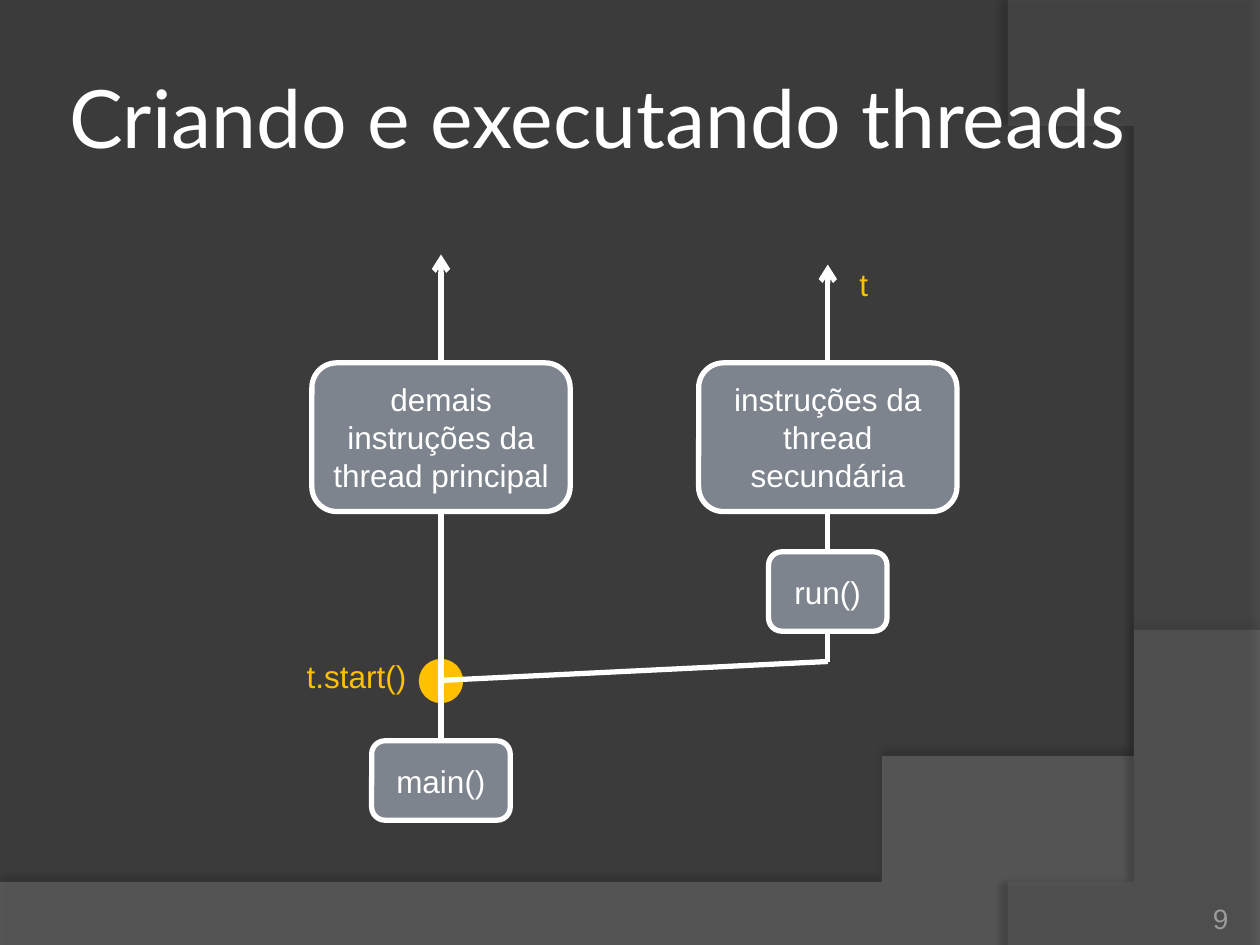
from lxml import etree
from pptx import Presentation
from pptx.dml.color import RGBColor
from pptx.enum.shapes import MSO_CONNECTOR, MSO_SHAPE
from pptx.enum.text import MSO_ANCHOR, PP_ALIGN
from pptx.oxml.ns import qn
from pptx.util import Inches, Pt

DARK = RGBColor(0x3B, 0x3B, 0x3B)
WAVE = RGBColor(0x7F, 0x7F, 0x7F)
ARC = RGBColor(0x5E, 0x5E, 0x5E)
WHITE = RGBColor(0xFF, 0xFF, 0xFF)
GOLD = RGBColor(0xFF, 0xC0, 0x00)
SLATE = RGBColor(0x7E, 0x84, 0x8D)
GREY = RGBColor(0x9D, 0x9B, 0x9A)
LEFT, CENTER, RIGHT = PP_ALIGN.LEFT, PP_ALIGN.CENTER, PP_ALIGN.RIGHT
MIDDLE, BOTTOM = MSO_ANCHOR.MIDDLE, MSO_ANCHOR.BOTTOM
ROUND, OVAL = MSO_SHAPE.ROUNDED_RECTANGLE, MSO_SHAPE.OVAL
STRAIGHT = MSO_CONNECTOR.STRAIGHT

MAIN_X, SIDE_X = 3.5, 6.57  # centre lines of the two threads
TURN_Y, START_Y = 5.25, 5.4


def write(shape, text, size=18, font="Arial", color=WHITE, align=CENTER,
          anchor=MIDDLE, inset=None):
    frame = shape.text_frame
    frame.word_wrap = True
    frame.vertical_anchor = anchor
    if inset is not None:
        frame.margin_left = frame.margin_right = Inches(inset)
        frame.margin_top = frame.margin_bottom = Inches(inset)
    para = frame.paragraphs[0]
    para.alignment = align
    run = para.add_run()
    run.text = text
    run.font.size = Pt(size)
    run.font.name = font
    run.font.color.rgb = color


def add_label(slide, text, x, y, w, h, **style):
    box = slide.shapes.add_textbox(Inches(x), Inches(y), Inches(w), Inches(h))
    write(box, text, **style)


def add_node(slide, kind, x, y, w, h, fill, edge, text=None):
    """Add an outlined shape centred on x, with its top at y."""
    node = slide.shapes.add_shape(
        kind, Inches(x - w / 2), Inches(y), Inches(w), Inches(h))
    node.shadow.inherit = False
    node.fill.solid()
    node.fill.fore_color.rgb = fill
    node.line.color.rgb = edge
    node.line.width = Pt(3)
    if text:
        write(node, text)
    return node


def add_line(slide, start, end, arrow=False):
    line = slide.shapes.add_connector(
        STRAIGHT, *[Inches(v) for v in (*start, *end)])
    line.line.color.rgb = WHITE
    line.line.width = Pt(3)
    if arrow:
        tip = etree.SubElement(line.line._get_or_add_ln(), qn("a:tailEnd"))
        tip.set("type", "arrow")
    etree.SubElement(line._element.spPr, qn("a:effectLst"))
    return line


def curve(a, b, c, d, steps=48):
    """Return points along a cubic Bezier curve."""
    spots = []
    for i in range(steps + 1):
        t = i / steps
        s = 1 - t
        parts = (s ** 3, 3 * s * s * t, 3 * s * t * t, t ** 3)
        spots.append(tuple(sum(k * p[n] for k, p in zip(parts, (a, b, c, d)))
                           for n in (0, 1)))
    return spots


def add_swoosh(slide, spots, color, alpha, shade, gap, turn):
    """Add a translucent outline with a soft shadow, given in percent, points, degrees."""
    pen = slide.shapes.build_freeform(*spots[0], scale=Inches(1))
    pen.add_line_segments(spots[1:], close=True)
    form = pen.convert_to_shape()
    form.shadow.inherit = False
    form.line.fill.background()
    form.fill.solid()
    form.fill.fore_color.rgb = color
    props = form._element.spPr
    tint = props.find(qn("a:solidFill"))[0]
    etree.SubElement(tint, qn("a:alpha")).set("val", str(alpha * 1000))
    cast = etree.SubElement(
        props.find(qn("a:effectLst")), qn("a:outerShdw"), blurRad=str(Pt(4)),
        dist=str(Pt(gap)), dir=str(turn * 60000), rotWithShape="0")
    black = etree.SubElement(cast, qn("a:srgbClr"), val="000000")
    etree.SubElement(black, qn("a:alpha")).set("val", str(shade * 1000))


def add_backdrop(slide):
    slide.background.fill.solid()
    slide.background.fill.fore_color.rgb = DARK
    wave = curve((10, 5.2), (5.59, 7.29), (3.91, 7.19), (0, 7.05))
    add_swoosh(slide, [(0, 7.51), (10, 7.51)] + wave, WAVE, 45, 35, 3.5, 270)
    arc = curve((8.21, 7.5), (9.35, 6.19), (10.18, 3), (8, 0))
    add_swoosh(slide, [(10, 0.02), (10, 7.5)] + arc, ARC, 40, 45, 4, 180)


def add_threads(slide):
    add_node(slide, OVAL, MAIN_X, 5.25, 0.31, 0.31, GOLD, GOLD)
    main_box = add_node(slide, ROUND, MAIN_X, 5.88, 1.1, 0.63, SLATE, WHITE,
                        "main()")
    trunk = add_line(slide, (MAIN_X, 5.88), (MAIN_X, 2.02), arrow=True)
    trunk.begin_connect(main_box, 0)
    add_line(slide, (SIDE_X, TURN_Y), (SIDE_X, 2.1), arrow=True)
    add_line(slide, (SIDE_X, TURN_Y), (MAIN_X, START_Y))
    add_node(slide, ROUND, SIDE_X, 4.38, 0.94, 0.63, SLATE, WHITE, "run()")
    for x, text in ((MAIN_X, "demais instruções da thread principal"),
                    (SIDE_X, "instruções da thread secundária")):
        add_node(slide, ROUND, x, 2.88, 2.05, 1.18, SLATE, WHITE, text)
    add_label(slide, "t.start()", 2.24, 5.17, 1.18, 0.39, color=GOLD)
    add_label(slide, "t", 6.5, 2.02, 0.71, 0.47, color=GOLD)


def main():
    deck = Presentation()
    deck.slide_width, deck.slide_height = Inches(10), Inches(7.5)
    slide = deck.slides.add_slide(deck.slide_layouts[6])
    add_backdrop(slide)
    add_label(slide, "Criando e executando threads", 0.5, 0.3, 9.11, 1.25,
              size=46, font="Lato", align=LEFT, inset=0.05)
    add_threads(slide)
    add_label(slide, "9", 8.92, 7.02, 0.83, 0.4, size=16, color=GREY,
              align=RIGHT, anchor=BOTTOM, inset=0)
    deck.save("out.pptx")


if __name__ == "__main__":
    main()
